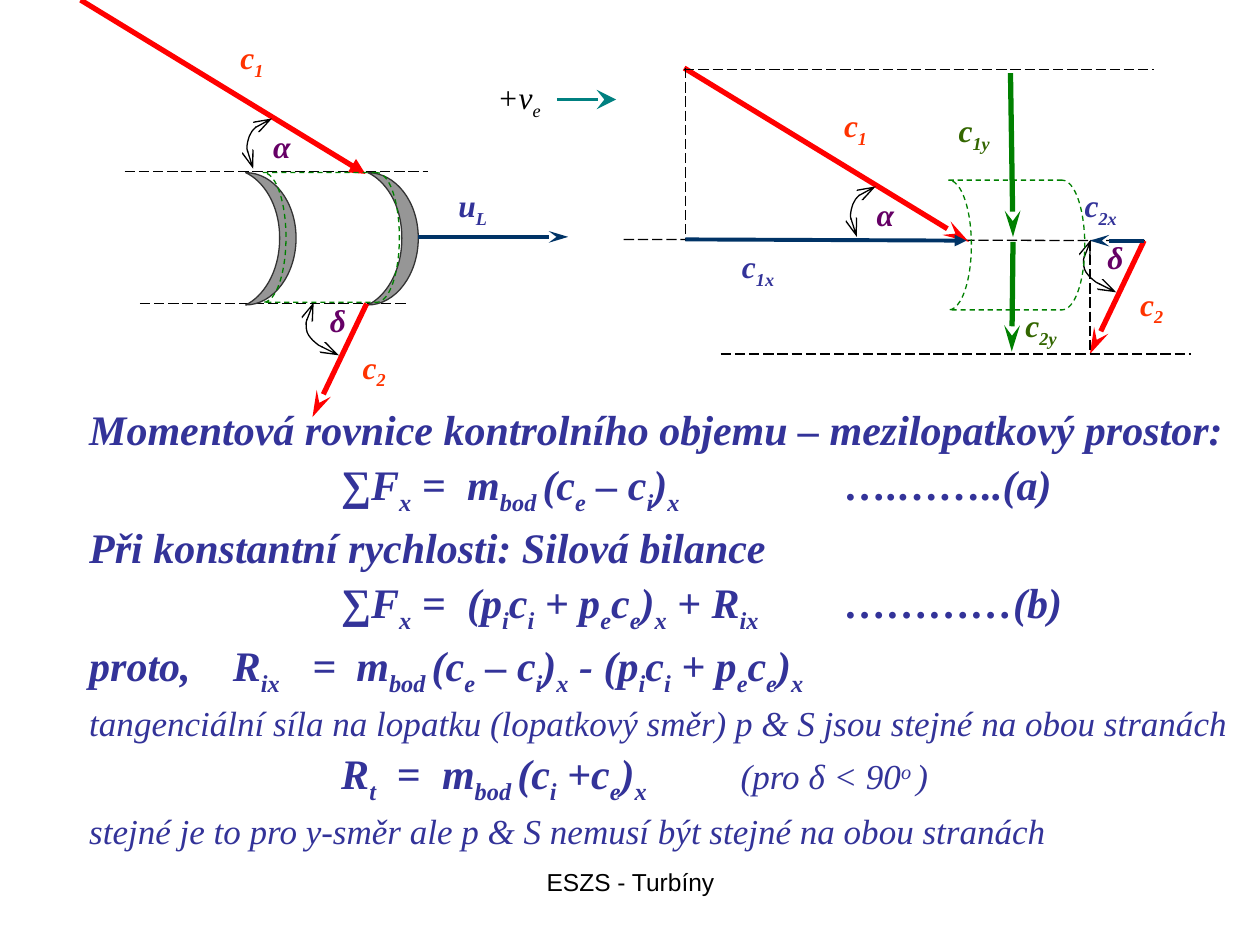
from lxml import etree
from pptx import Presentation
from pptx.dml.color import RGBColor
from pptx.enum import dml, shapes, text
from pptx.oxml import ns
from pptx.util import Inches, Pt

COLORS = {
    "black": "000000", "red": "FF0000", "orange": "FF3300", "purple": "660066",
    "indigo": "333399", "navy": "003366", "green": "008000", "olive": "336600",
    "teal": "008080", "grey": "969696", "charcoal": "333333",
}
SERIF = "Times New Roman"

# Cubic curves: a start point, then three points for each segment
BLADE = [(0, 0), (0.13, 0.06), (0.27, 0.24), (0.27, 0.52), (0.27, 0.8), (0.13, 0.99),
         (0, 1.05), (0.22, 1.05), (0.4, 0.81), (0.4, 0.52), (0.4, 0.23), (0.22, 0), (0, 0)]
ALPHA_ARC = [(1.37, 1.34), (1.36, 1.31), (1.33, 1.22), (1.32, 1.18), (1.32, 1.14),
             (1.33, 1.11), (1.34, 1.08), (1.35, 1.05), (1.37, 1.03), (1.4, 1),
             (1.43, 0.98), (1.49, 0.95), (1.52, 0.94)]
DELTA_ARC = [(-0.22, 0.41), (-0.25, 0.4), (-0.34, 0.35), (-0.38, 0.33), (-0.42, 0.3),
             (-0.44, 0.28), (-0.46, 0.25), (-0.48, 0.22), (-0.48, 0.19), (-0.48, 0.15),
             (-0.47, 0.11), (-0.43, 0.02), (-0.42, -0.01)]

# Text in braces is subscript; a caret after the brace makes it superscript
EQUATIONS = [
    ("Momentová rovnice kontrolního objemu – mezilopatkový prostor:", 0, []),
    ("\t∑F{x} =\tm{bod }(c{e} – c{i}){x}\t….……..(a)", 3, [2, 3, 6]),
    ("Při konstantní rychlosti: Silová bilance", 3, []),
    ("\t∑F{x} =\t(p{i}c{i} + p{e}c{e}){x} + R{ix}\t…………(b)", 3, [2, 3, 6]),
    ("proto,\tR{ix}\t=\tm{bod }(c{e} – c{i}){x} - (p{i}c{i} + p{e}c{e}){x}", 3, [1.14, 1.77, 2.12]),
    ("~tangenciální síla na lopatku (lopatkový směr) p & S jsou stejné na obou stranách", 2.5, []),
    ("\tR{t}\t=\tm{bod }(c{i} +c{e}){x}\t~(pro δ < 90{^o })", 2.5, [2, 2.44, 2.8, 5.17]),
    ("~stejné je to pro y-směr ale p & S nemusí být stejné na obou stranách", 2.5, []),
]


def rgb(name):
    return RGBColor.from_string(COLORS[name])


def style_line(line, color, width, dash=None, head=None, tail=None, breadth="med"):
    line.color.rgb = rgb(color)
    line.width = Pt(width)
    if dash:
        line.dash_style = dash
    for tag, kind in (("a:headEnd", head), ("a:tailEnd", tail)):
        if kind:
            length = "med" if kind == "triangle" else "lg"
            etree.SubElement(line._get_or_add_ln(), ns.qn(tag), type=kind, w=breadth, len=length)


def add_line(page, start, end, color="black", width=0.75, **form):
    points = [Inches(value) for value in (*start, *end)]
    line = page.shapes.add_connector(shapes.MSO_CONNECTOR.STRAIGHT, *points)
    style_line(line.line, color, width, **form)
    etree.SubElement(line._element.spPr, ns.qn("a:effectLst"))


def add_guide(page, start, end):
    add_line(page, start, end, dash=dml.MSO_LINE.LONG_DASH)


def add_curve(page, left, top, points, fill=None):
    """Draw cubic segments; filled curves are closed, open ones get arrowheads."""
    places = [(Inches(left + x), Inches(top + y)) for x, y in points]
    builder = page.shapes.build_freeform(*places[0])
    builder.add_line_segments(places[1:], close=bool(fill))
    curve = builder.convert_to_shape()
    # Each three straight steps become one cubic segment
    steps = list(curve._element.iter(ns.qn("a:lnTo")))
    for first in range(0, len(steps), 3):
        cubic = etree.Element(ns.qn("a:cubicBezTo"))
        steps[first].addprevious(cubic)
        for step in steps[first:first + 3]:
            cubic.append(step[0])
            step.getparent().remove(step)
    curve.shadow.inherit = False
    if fill:
        curve.fill.solid()
        curve.fill.fore_color.rgb = rgb(fill)
        style_line(curve.line, "charcoal", 0.75)
    else:
        curve.fill.background()
        style_line(curve.line, "black", 0.75, head="arrow", tail="arrow")


def add_spans(para, content, size=18, color="black", bold=True, italic=True, font=SERIF):
    def add_span(words, base, size, bold):
        if not words:
            return
        span = para.add_run()
        span.text = words
        span.font.name, span.font.size = font, Pt(size)
        span.font.bold, span.font.italic = bold, italic
        span.font.color.rgb = rgb(color)
        if base:
            span.font._element.set("baseline", str(base * 1000))

    # A tilde switches to the smaller, regular weight
    for level, part in enumerate(content.split("~")):
        form = (size - 4 * level, bold and not level)
        for piece in part.split("{"):
            script, closed, plain = piece.partition("}")
            if closed:
                add_span(script.lstrip("^"), 30 if script[0] == "^" else -25, *form)
                add_span(plain, 0, *form)
            else:
                add_span(piece, 0, *form)


def add_box(page, left, top, width, height):
    box = page.shapes.add_textbox(*(Inches(value) for value in (left, top, width, height)))
    box.text_frame.word_wrap = True
    return box.text_frame


def add_label(page, left, top, content, color, width=0.71, height=0.44, **form):
    frame = add_box(page, left, top, width, height)
    add_spans(frame.paragraphs[0], content, color=color, **form)


def add_inflow(page, left, top, tail):
    """Velocity c1 entering at angle α."""
    add_label(page, left + 1.17, top + 0.25, "c{1}", "orange")
    add_line(page, (left, top), (left + 2.26, top + 1.38), "red", 3, tail=tail)
    add_label(page, left + 1.43, top + 0.96, "α", "purple", 0.32, 0.4)
    add_curve(page, left, top, ALPHA_ARC)


def add_outflow(page, left, top):
    """Velocity c2 leaving at angle δ."""
    add_label(page, left - 0.13, top + 0.3, "c{2}", "orange", 0.51)
    add_line(page, (left, top), (left - 0.43, top + 0.9), "red", 3, tail="stealth")
    add_label(page, left - 0.39, top - 0.07, "δ", "purple", 0.32, 0.4)
    add_curve(page, left, top, DELTA_ARC)


def add_control_volume(page, left, top):
    volume = page.shapes.add_shape(shapes.MSO_SHAPE.FLOWCHART_STORED_DATA, Inches(left),
                                   Inches(top), Inches(1.08), Inches(1.03))
    volume.shadow.inherit = False
    volume.fill.background()
    style_line(volume.line, "green", 0.75, dml.MSO_LINE.DASH)
    volume._element.spPr.xfrm.set("flipH", "1")


def draw_blades(page, left, top):
    """Blade pair with its inflow, outflow and blade speed."""
    inlet, outlet = top + 1.36, top + 2.41
    add_guide(page, (left + 0.47, outlet), (left + 2.58, outlet))
    add_guide(page, (left + 0.35, inlet), (left + 2.76, inlet))
    for offset in (1.31, 2.28):
        add_curve(page, left + offset, top + 1.37, BLADE, fill="grey")
    add_line(page, (left + 2.68, top + 1.88), (left + 3.87, top + 1.88), "navy", 2.25, tail="stealth")
    add_label(page, left + 2.9, top + 1.43, "u{L}", "indigo")
    add_inflow(page, left, top, "triangle")
    add_outflow(page, left + 2.27, outlet)
    add_control_volume(page, left + 1.45, top + 1.37)


def draw_components(page, left, top):
    """Velocities split into x and y components."""
    axis, base = top + 1.37, top + 2.27
    start, end, drop = left + 0.49, left + 4.13, left + 3.7
    add_guide(page, (left, axis - 0.01), (left + 4.16, axis))
    add_inflow(page, left + 0.48, top, "stealth")
    add_outflow(page, end, axis)
    add_guide(page, (start, top), (start, axis))
    # x components
    add_line(page, (start, axis - 0.01), (left + 2.72, axis), "navy", 2.25, tail="triangle")
    add_label(page, left + 0.84, axis, "c{1x}", "indigo", 1.33)
    add_line(page, (end, axis), (drop, axis), "navy", 2.25, tail="stealth")
    add_label(page, left + 3.56, top + 0.89, "c{2x}", "indigo", 1.1)
    add_guide(page, (drop, axis), (drop, base))
    add_control_volume(page, left + 2.58, top + 0.89)
    # y components
    add_guide(page, (left + 0.48, top + 0.01), (left + 4.21, top + 0.01))
    add_label(page, left + 2.56, top + 0.29, "c{1y}", "olive", 0.57)
    add_line(page, (left + 3.07, top + 0.04), (left + 3.09, top + 1.34), "green", 3, tail="stealth")
    add_guide(page, (left + 0.77, base), (left + 4.5, base))
    add_label(page, left + 3.09, top + 1.84, "c{2y}", "olive", 0.57)
    add_line(page, (left + 3.09, top + 1.38), (left + 3.08, top + 2.25), "green", 3, tail="stealth")


def draw_direction(page, left, top):
    """Sign convention for positive velocity."""
    add_line(page, (left + 0.57, top + 0.22), (left + 1.04, top + 0.22), "teal", 2.25,
             tail="stealth", breadth="lg")
    add_label(page, left, top, "+v{e}", "black", 0.84, bold=False)


def draw_equations(page, left, top, width, height):
    frame = add_box(page, left, top, width, height)
    for index, (content, gap, stops) in enumerate(EQUATIONS):
        para = frame.add_paragraph() if index else frame.paragraphs[0]
        if stops:
            tabs = etree.SubElement(para._p.get_or_add_pPr(), ns.qn("a:tabLst"))
            for stop in stops:
                etree.SubElement(tabs, ns.qn("a:tab"), pos=str(Inches(stop)), algn="l")
        para.space_before = Pt(gap)
        add_spans(para, content, 24, "indigo")


def draw_footer(page, left, top, width, height):
    frame = add_box(page, left, top, width, height)
    frame.paragraphs[0].alignment = text.PP_ALIGN.CENTER
    add_spans(frame.paragraphs[0], "ESZS - Turbíny", 14, bold=False, italic=False, font="Arial")


def main():
    deck = Presentation()
    deck.slide_width, deck.slide_height = Inches(10), Inches(7.5)
    page = deck.slides.add_slide(deck.slide_layouts[6])
    draw_equations(page, 0.61, 3.15, 9.39, 3.66)
    draw_blades(page, 0.64, 0)
    draw_components(page, 4.95, 0.54)
    draw_direction(page, 3.85, 0.57)
    draw_footer(page, 3.42, 6.83, 3.17, 0.52)
    deck.save("out.pptx")


if __name__ == "__main__":
    main()
